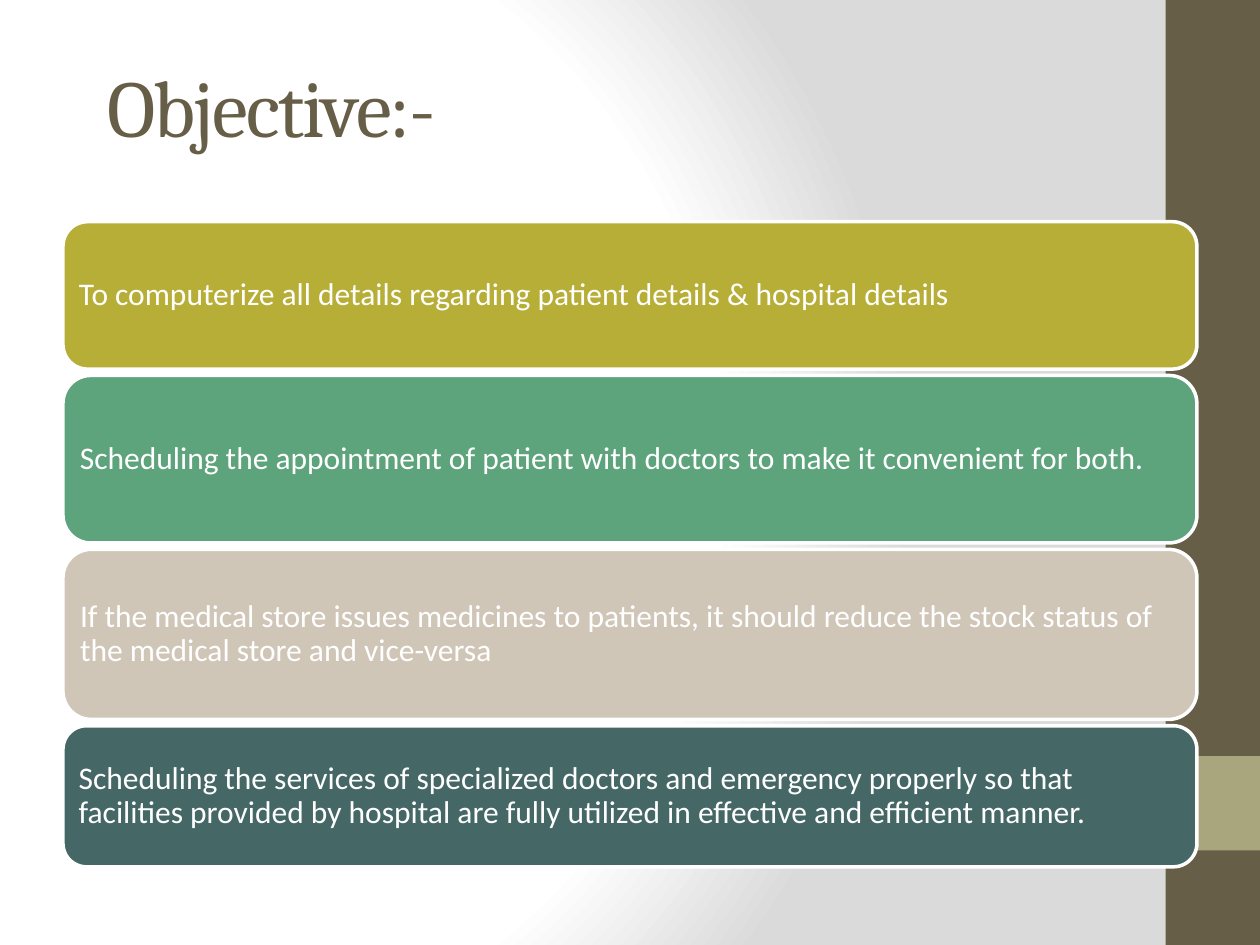
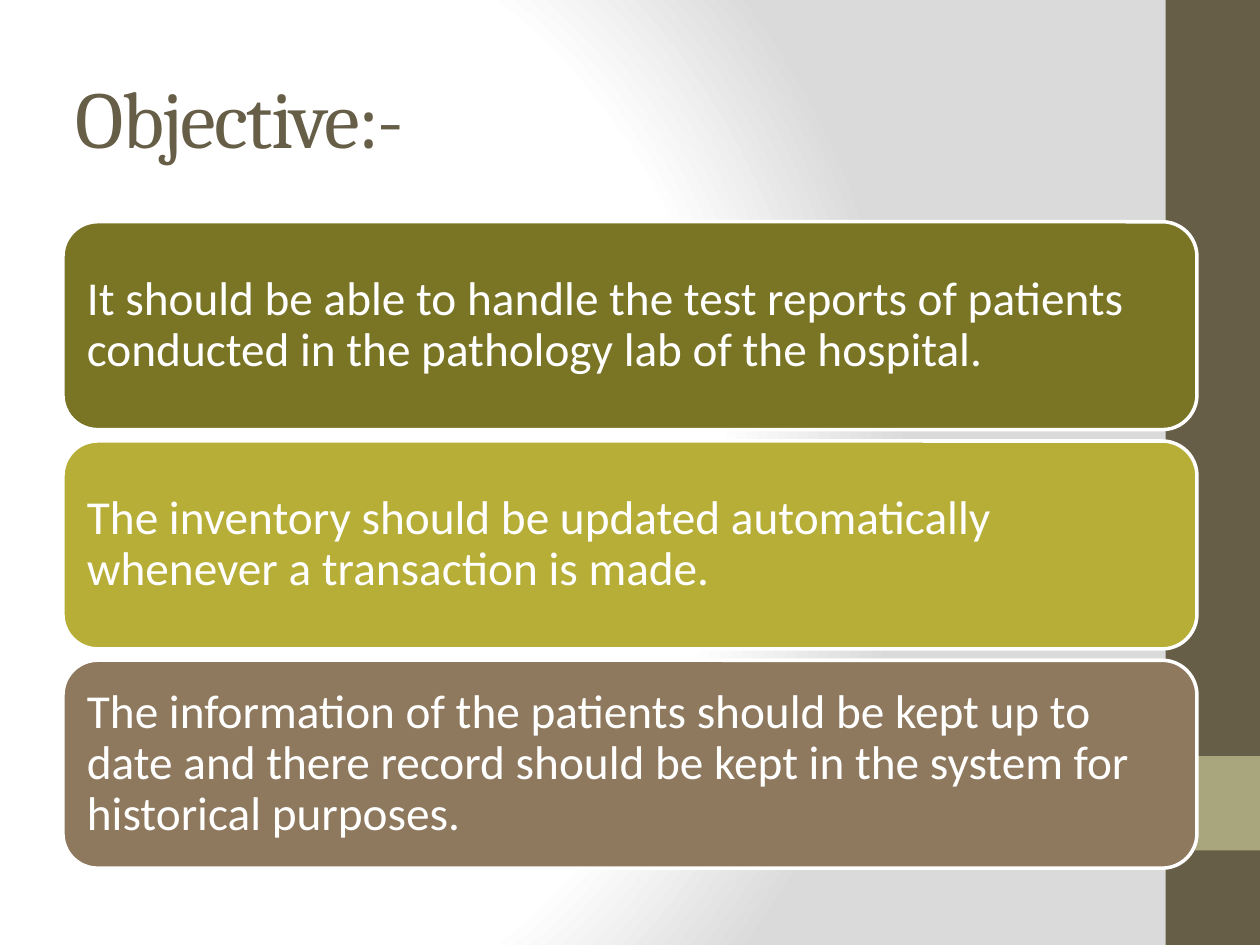
from pptx import Presentation
from pptx.dml.color import RGBColor
from pptx.enum.shapes import MSO_SHAPE
from pptx.enum.text import MSO_ANCHOR, MSO_AUTO_SIZE, PP_ALIGN
from pptx.oxml import parse_xml
from pptx.oxml.ns import nsdecls, qn
from pptx.util import Inches, Pt

RECT = MSO_SHAPE.RECTANGLE
ROUND = MSO_SHAPE.ROUNDED_RECTANGLE
MIDDLE = MSO_ANCHOR.MIDDLE
LEFT = PP_ALIGN.LEFT
FIXED = MSO_AUTO_SIZE.NONE
TITLE_ONLY = 5

WHITE, GREY = "FFFFFF", "DADADA"
BROWN, SAGE, OLIVE = "675E47", "A9A57C", "B7AE38"
STOPS = [(0, WHITE), (75, WHITE), (100, GREY)]

# Slide 1: card height, fill, text
GOALS = [
    (1.17, OLIVE, "To computerize all details regarding patient details & hospital details"),
    (1.33, "5DA37B", "Scheduling the appointment of patient with doctors to make it "
     "convenient for both."),
    (1.35, "D0C6B8", "If the medical store issues medicines to patients, it should reduce "
     "the stock status of the medical store and vice-versa"),
    (1.12, "456867", "Scheduling the services of specialized doctors and emergency properly "
     "so that facilities provided by hospital are fully utilized in effective and "
     "efficient manner."),
]
# Slide 2: cards of equal height
TASKS = [
    (1.65, "7A7425", "It should be able to handle the test reports of patients conducted in "
     "the pathology lab of the hospital."),
    (1.65, OLIVE, "The inventory should be updated automatically whenever a transaction is made."),
    (1.65, "8E795E", "The information of the patients should be kept up to date and there "
     "record should be kept in the system for historical purposes."),
]


def color(code):
    return RGBColor.from_string(code)


def place(shape, box):
    shape.left, shape.top, shape.width, shape.height = map(Inches, box)


def style(part, font, size, code):
    part.font.name = font
    part.font.size = Pt(size)
    part.font.color.rgb = color(code)


def add_box(slide, kind, box, fill):
    shape = slide.shapes.add_shape(kind, *map(Inches, box))
    shape.shadow.inherit = False
    shape.fill.solid()
    shape.fill.fore_color.rgb = color(fill)
    shape.line.fill.background()
    return shape


def set_back(master):
    """Give the master a round gradient that starts left of centre."""
    master.background.fill.solid()
    stops = "".join(
        f'<a:gs pos="{pos * 1000}"><a:srgbClr val="{code}"/></a:gs>' for pos, code in STOPS)
    grad = parse_xml(
        f'<a:gradFill {nsdecls("a")} rotWithShape="1"><a:gsLst>{stops}</a:gsLst>'
        '<a:path path="circle"><a:fillToRect l="20000" t="50000" r="100000" b="50000"/>'
        '</a:path></a:gradFill>')
    props = master.element.cSld.find(qn("p:bg"))[0]
    props.replace(props[0], grad)


def set_bands(master, slide):
    """Draw the side bands, then move them behind the master's parts."""
    bands = [((9.25, 0, 0.75, 7.5), BROWN), ((9.25, 6, 0.75, 0.75), SAGE)]
    for at, (box, fill) in enumerate(bands):
        band = add_box(slide, RECT, box, fill).element
        band.nvSpPr.cNvPr.set("id", str(100 + at))
        master.shapes.element.insert(2 + at, band)


def set_title(slide, text, box):
    title = slide.shapes.title
    place(title, box)
    frame = title.text_frame
    frame.text = text
    frame.auto_size = FIXED
    frame.vertical_anchor = MIDDLE
    para = frame.paragraphs[0]
    para.alignment = LEFT
    run = para.runs[0]
    style(run, "Cambria", 46, BROWN)
    run.font._element.set("spc", "-100")


def add_card(slide, box, fill, text, size, inset):
    card = add_box(slide, ROUND, box, fill)
    card.line.color.rgb = color(WHITE)
    card.line.width = Pt(2)
    frame = card.text_frame
    frame.text = text
    frame.word_wrap = True
    frame.vertical_anchor = MIDDLE
    frame.margin_left = frame.margin_right = Inches(inset)
    frame.margin_top = frame.margin_bottom = Inches(inset)
    para = frame.paragraphs[0]
    para.alignment = LEFT
    para.line_spacing = 0.9
    style(para.runs[0], "Calibri", size, WHITE)


def add_stack(slide, cards, gap, size, inset):
    top = 1.76
    for height, fill, text in cards:
        add_card(slide, (0.5, top, 9, height), fill, text, size, inset)
        top += height + gap


def main():
    deck = Presentation()
    deck.slide_width, deck.slide_height = Inches(10), Inches(7.5)
    layout = deck.slide_layouts[TITLE_ONLY]
    first = deck.slides.add_slide(layout)
    second = deck.slides.add_slide(layout)

    # Shared look
    set_back(deck.slide_master)
    set_bands(deck.slide_master, first)

    # Slide content
    set_title(first, "Objective:-", (0.75, 0.21, 9, 1.25))
    add_stack(first, GOALS, 0.05, 18, 0.07)
    set_title(second, "Objective:-", (0.5, 0.3, 8.33, 1.25))
    add_stack(second, TASKS, 0.09, 27, 0.11)

    deck.save("out.pptx")


if __name__ == "__main__":
    main()
